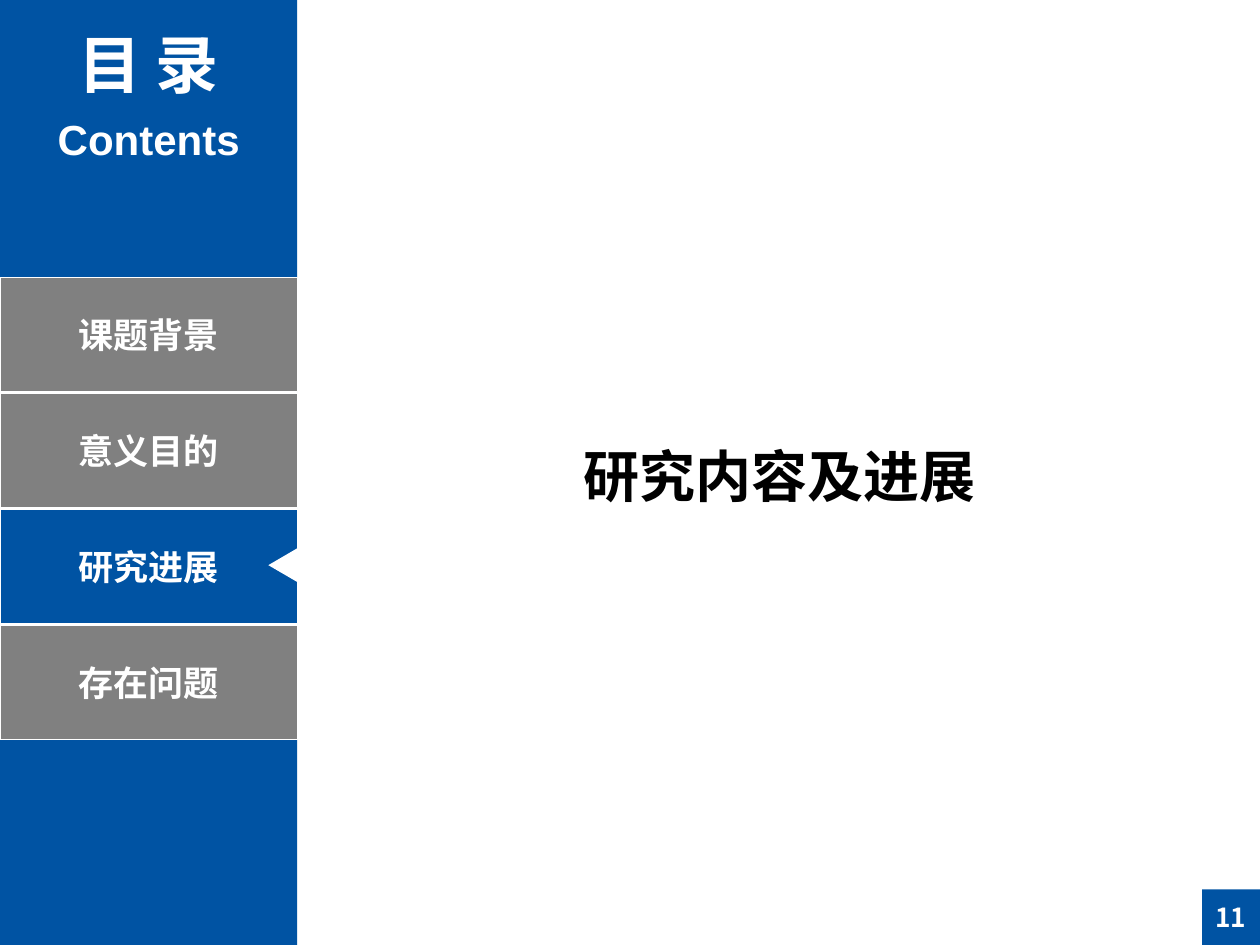
from pptx import Presentation, util as u
from pptx.dml import color
from pptx.enum import shapes, text
from pptx.oxml import ns

BLUE, GRAY, WHITE, BLACK = "0053A3", "808080", "FFFFFF", "000000"
CJK, LATIN = "Noto Sans CJK SC", "Arial"
COLUMNS, ROWS = 100, 75
SIDEBAR = 23.6


def rgb(value):
    """Turn a hex string into a colour."""
    return color.RGBColor.from_string(value)


class Page:
    """Style and current slide; lengths are columns and rows of the grid."""

    def __init__(self, deck):
        """Add a title-only slide to the deck."""
        self.slide = deck.slides.add_slide(deck.slide_layouts[5])
        self.column = deck.slide_width / COLUMNS
        self.row = deck.slide_height / ROWS

    def place(self, left, top, width, height):
        """Convert grid lengths to slide lengths."""
        return (round(left * self.column), round(top * self.row),
                round(width * self.column), round(height * self.row))

    def caption(self, box, words, size, ink=WHITE, font=CJK):
        """Put one centred bold line in a box."""
        frame = box.text_frame
        frame.text = words
        frame.word_wrap = True
        frame.auto_size = text.MSO_AUTO_SIZE.NONE
        frame.vertical_anchor = text.MSO_ANCHOR.MIDDLE
        para = frame.paragraphs[0]
        para.alignment = text.PP_ALIGN.CENTER
        for span in para.runs:
            span.font.size = u.Pt(size)
            span.font.bold = True
            span.font.name = font
            span.font.color.rgb = rgb(ink)
            latin = span._r.rPr.find(ns.qn("a:latin"))
            latin.addnext(latin.makeelement(ns.qn("a:ea"), {"typeface": CJK}))

    def title(self, words, area, size):
        """Move and fill the title placeholder."""
        box = self.slide.shapes.title
        box.left, box.top, box.width, box.height = self.place(*area)
        self.caption(box, words, size, BLACK)

    def label(self, words, area, size):
        """Add a text box in the Latin font."""
        box = self.slide.shapes.add_textbox(*self.place(*area))
        self.caption(box, words, size, font=LATIN)

    def block(self, area, fill, kind=shapes.MSO_SHAPE.RECTANGLE, border=None):
        """Add a filled shape with an optional border."""
        box = self.slide.shapes.add_shape(kind, *self.place(*area))
        box.shadow.inherit = False
        box.fill.solid()
        box.fill.fore_color.rgb = rgb(fill)
        if border:
            box.line.color.rgb = rgb(border)
            box.line.width = u.Pt(0.75)
        else:
            box.line.fill.background()
        return box


def build():
    """Build the section slide and save it."""
    deck = Presentation()
    deck.slide_width, deck.slide_height = u.Inches(10), u.Inches(7.5)
    page = Page(deck)

    page.block((0, 0, SIDEBAR, ROWS), BLUE)
    page.label("目 录", (1.2, 1.5, 21.2, 7.1), 36)
    page.label("Contents", (1.2, 8.5, 21.2, 5), 24)
    page.caption(page.block((95.4, 70.6, 4.6, 4.4), BLUE), "11", 15)
    page.title("研究内容及进展", (43.3, 34.5, 37.2, 6.4), 32)

    sections, current = ["课题背景", "意义目的", "研究进展", "存在问题"], 2
    first, pitch, height = 22, 9.2, 9.1
    for index, name in enumerate(sections):
        fill = BLUE if index == current else GRAY
        button = page.block((0, first + index * pitch, SIDEBAR, height), fill, border=WHITE)
        page.caption(button, name, 20)

    middle = first + current * pitch + height / 2
    pointer = page.block((21.1, middle - 1.3, 2.8, 2.4), WHITE,
                         shapes.MSO_SHAPE.ISOSCELES_TRIANGLE)
    pointer.rotation = 270
    deck.save("out.pptx")


build()
